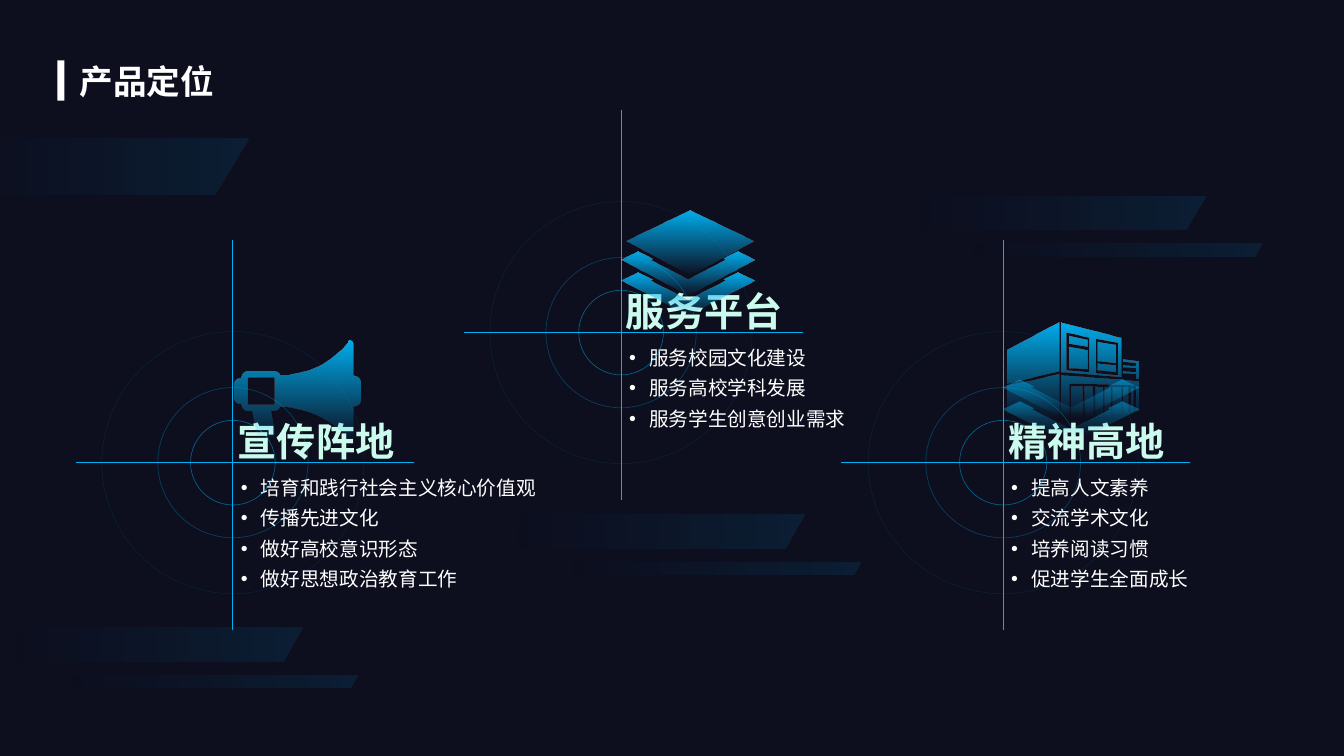
from dataclasses import dataclass

from lxml import etree
from pptx import Presentation
from pptx.dml.color import RGBColor
from pptx.enum.shapes import MSO_CONNECTOR, MSO_SHAPE
from pptx.enum.text import MSO_AUTO_SIZE
from pptx.oxml.ns import qn
from pptx.util import Inches, Pt

RECT = MSO_SHAPE.RECTANGLE
OVAL = MSO_SHAPE.OVAL
SLANT = MSO_SHAPE.PARALLELOGRAM
STRAIGHT = MSO_CONNECTOR.STRAIGHT
FIT_TEXT = MSO_AUTO_SIZE.SHAPE_TO_FIT_TEXT
RIGHTWARD, DOWNWARD = 0, 270


@dataclass(frozen=True)
class Theme:
    font: str = "Noto Sans CJK SC"
    back: str = "0D0E1E"
    white: str = "FFFFFF"
    blue: str = "00B0F0"
    title_size: int = 24
    heading_size: int = 28
    body_size: int = 14
    title_stops: tuple = ((11, "F2F2F2", 100), (29, "FFFFFF", 100), (63, "BFBFBF", 100))
    heading_stops: tuple = ((16, "CAFBED", 100), (100, "5EF0F7", 100))
    icon_stops: tuple = ((0, "00B0F0", 100), (100, "00B0F0", 0))
    faint_stops: tuple = ((0, "00B0F0", 49), (81, "00B0F0", 0))
    bar_stops: tuple = ((0, "009DD9", 0), (100, "00B0F0", 11))


THEME = Theme()

PILLARS = [
    ("宣传阵地", 2.31, 4.59, 1, 3.94,
     ["培育和践行社会主义核心价值观", "传播先进文化", "做好高校意识形态", "做好思想政治教育工作"]),
    ("服务平台", 6.16, 3.3, 1, 3.32,
     ["服务校园文化建设", "服务高校学科发展", "服务学生创意创业需求"]),
    ("精神高地", 9.95, 4.59, 1.03, 3.28,
     ["提高人文素养", "交流学术文化", "培养阅读习惯", "促进学生全面成长"]),
]
RINGS = [(2.6, 10), (1.49, 30), (0.84, 50)]
BAR_PAIRS = [(0, 6.23), (8.96, 1.95), (4.98, 5.11)]

TOP_LAYER = [[(7.47, 2.39), (6.84, 2.72), (6.21, 2.39), (6.84, 2.09)]]
CHEVRON = [(0.49, 0), (0.66, 0.08), (0, 0.42), (-0.66, 0.08), (-0.49, 0),
           (-0.35, 0.07), (-0.37, 0.08), (0, 0.27), (0.37, 0.08), (0.35, 0.07)]
BUILDING = [
    [(11.21, 3.85), (11.23, 3.85), (11.23, 4.08), (11.21, 4.08)],
    [(11.13, 3.84), (11.18, 3.84), (11.18, 4.09), (11.13, 4.09)],
    [(11.03, 3.84), (11.11, 3.84), (11.11, 4.09), (11.03, 4.1)],
    [(10.95, 3.84), (11.01, 3.84), (11.01, 4.1), (10.95, 4.11)],
    [(10.86, 3.83), (10.93, 3.84), (10.93, 4.11), (10.86, 4.12)],
    [(10.75, 3.83), (10.83, 3.83), (10.84, 4.12), (10.76, 4.13)],
    [(10.62, 3.83), (10.73, 3.83), (10.73, 4.13), (10.62, 4.14)],
    [(10.52, 3.72), (11.12, 3.76), (11.29, 3.78), (11.29, 4.07), (11.26, 4.08),
     (11.26, 3.82), (10.6, 3.8), (10.6, 4.15), (10.52, 4.15)],
    [(10.5, 3.71), (10.5, 4.15), (9.99, 4.09), (9.99, 3.82), (10.24, 3.77)],
    [(10.88, 3.6), (11.06, 3.62), (11.06, 3.69), (10.88, 3.67)],
    [(11.13, 3.56), (11.29, 3.58), (11.29, 3.75), (11.26, 3.75), (11.26, 3.71),
     (11.13, 3.7), (11.13, 3.68), (11.26, 3.69), (11.26, 3.65), (11.13, 3.64),
     (11.13, 3.62), (11.26, 3.63), (11.26, 3.6), (11.13, 3.59)],
    [(10.6, 3.44), (10.78, 3.47), (10.78, 3.66), (10.6, 3.65)],
    [(10.88, 3.39), (11.06, 3.42), (11.06, 3.6), (10.88, 3.58)],
    [(10.86, 3.36), (10.86, 3.7), (11.08, 3.72), (11.08, 3.4)],
    [(10.6, 3.33), (10.78, 3.37), (10.78, 3.44), (10.6, 3.41)],
    [(10.57, 3.3), (10.57, 3.67), (10.8, 3.69), (10.8, 3.35)],
    [(10.5, 3.2), (10.5, 3.68), (9.99, 3.8), (9.99, 3.47)],
    [(10.52, 3.2), (11.11, 3.35), (11.11, 3.74), (10.52, 3.69)],
]
MEGAPHONE = [
    [(3.5, 3.72), (3.5, 3.41), (3.5, 3.39, 3.49, 3.38, 3.48, 3.38),
     (3.46, 3.37, 3.45, 3.38, 3.45, 3.4), (3.44, 3.4, 3.41, 3.48, 3.2, 3.61),
     (3.02, 3.71, 2.84, 3.72, 2.78, 3.72), (2.77, 3.7, 2.75, 3.68, 2.72, 3.68),
     (2.47, 3.68), (2.43, 3.68, 2.4, 3.71, 2.4, 3.75), (2.38, 3.75),
     (2.35, 3.75, 2.33, 3.78, 2.33, 3.81), (2.33, 3.94),
     (2.33, 3.97, 2.35, 4, 2.38, 4), (2.4, 4), (2.4, 4.04, 2.43, 4.07, 2.47, 4.07),
     (2.51, 4.07), (2.55, 4.29), (2.55, 4.32, 2.57, 4.34, 2.6, 4.34), (2.68, 4.34),
     (2.69, 4.34, 2.71, 4.33, 2.72, 4.32), (2.73, 4.31, 2.73, 4.29, 2.73, 4.28),
     (2.69, 4.07), (2.72, 4.07), (2.75, 4.07, 2.77, 4.05, 2.78, 4.03),
     (2.84, 4.03, 3.02, 4.04, 3.2, 4.14), (3.41, 4.26, 3.44, 4.35, 3.45, 4.36),
     (3.45, 4.37, 3.46, 4.38, 3.48, 4.38), (3.49, 4.37, 3.5, 4.36, 3.5, 4.35),
     (3.5, 4.03), (3.55, 4.03, 3.58, 3.99, 3.58, 3.95), (3.58, 3.8),
     (3.58, 3.76, 3.55, 3.73, 3.5, 3.72)],
    [(2.73, 4), (2.73, 4.01, 2.72, 4.01, 2.72, 4.01), (2.47, 4.01),
     (2.46, 4.01, 2.46, 4.01, 2.46, 4), (2.46, 3.75),
     (2.46, 3.74, 2.46, 3.74, 2.47, 3.74), (2.72, 3.74),
     (2.72, 3.74, 2.73, 3.74, 2.73, 3.75)],
]


def set_alpha(color, percent):
    etree.SubElement(color, qn("a:alpha"), val=str(percent * 1000))


def set_gradient(fill, parent, stops, angle):
    fill.gradient()
    fill.gradient_angle = angle
    gs_list = parent.find(qn("a:gradFill")).find(qn("a:gsLst"))
    for gs in list(gs_list):
        gs_list.remove(gs)
    for pos, color, alpha in stops:
        gs = etree.SubElement(gs_list, qn("a:gs"), pos=str(pos * 1000))
        set_alpha(etree.SubElement(gs, qn("a:srgbClr"), val=color), alpha)


def add_preset(s, kind, left, top, width, height):
    shape = s.shapes.add_shape(kind, Inches(left), Inches(top), Inches(width), Inches(height))
    shape.shadow.inherit = False
    shape.line.fill.background()
    return shape


def add_bar(s, left, top, height):
    bar = add_preset(s, SLANT, left, top, 3, height)
    bar.adjustments[0] = 0.605
    set_gradient(bar.fill, bar._element.spPr, THEME.bar_stops, RIGHTWARD)


def add_ring(s, cx, cy, width, height, alpha):
    ring = add_preset(s, OVAL, cx - width / 2, cy - height / 2, width, height)
    ring.fill.background()
    ring.line.color.rgb = RGBColor.from_string(THEME.blue)
    ring.line.width = Pt(0.5)
    set_alpha(next(ring._element.spPr.iter(qn("a:srgbClr"))), alpha)


def add_line(s, x1, y1, x2, y2):
    line = s.shapes.add_connector(STRAIGHT, Inches(x1), Inches(y1), Inches(x2), Inches(y2))
    line.line.color.rgb = RGBColor.from_string(THEME.blue)
    line.line.width = Pt(0.75)
    etree.SubElement(line._element.spPr, qn("a:effectLst"))


def add_target(s, cx, cy, stretch):
    for size, alpha in RINGS:
        add_ring(s, cx, cy, size * stretch, size, alpha)
    add_line(s, cx - 1.56 * stretch, cy, cx + 1.8 * stretch, cy)
    add_line(s, cx, cy - 2.21, cx, cy + 1.66)


def flatten(contour, steps=8):
    points = []
    for item in contour:
        if len(item) == 2:
            points.append(item)
            continue
        (x0, y0), (x1, y1, x2, y2, x3, y3) = points[-1], item
        for i in range(1, steps + 1):
            t = i / steps
            u = 1 - t
            a, b, c, d = u ** 3, 3 * u * u * t, 3 * u * t * t, t ** 3
            points.append((a * x0 + b * x1 + c * x2 + d * x3, a * y0 + b * y1 + c * y2 + d * y3))
    return [(Inches(x), Inches(y)) for x, y in points]


def add_icon(s, contours, stops=THEME.icon_stops):
    outlines = [flatten(contour) for contour in contours]
    builder = s.shapes.build_freeform(*outlines[0][0])
    for i, outline in enumerate(outlines):
        if i:
            builder.move_to(*outline[0])
        builder.add_line_segments(outline[1:], close=True)
    icon = builder.convert_to_shape()
    icon.shadow.inherit = False
    icon.line.fill.background()
    set_gradient(icon.fill, icon._element.spPr, stops, DOWNWARD)


def add_chevron(s, cx, top, stretch=1, stops=THEME.icon_stops):
    add_icon(s, [[(cx + x * stretch, top + y) for x, y in CHEVRON]], stops)


def add_text(s, left, top, width, height, lines, size, wrap=False):
    box = s.shapes.add_textbox(Inches(left), Inches(top), Inches(width), Inches(height))
    tf = box.text_frame
    tf.word_wrap = wrap
    tf.auto_size = FIT_TEXT
    tf.text = "\n".join(lines)
    for p in tf.paragraphs:
        r = p.runs[0]
        r.font.size = Pt(size)
        r.font.name = THEME.font
        etree.SubElement(r._r.get_or_add_rPr(), qn("a:ea"), typeface=THEME.font)
    return tf


def add_heading(s, left, top, width, height, text, size, stops):
    tf = add_text(s, left, top, width, height, [text], size)
    r = tf.paragraphs[0].runs[0]
    r.font.bold = True
    set_gradient(r.font.fill, r._r.get_or_add_rPr(), stops, DOWNWARD)
    return tf


def add_bullets(s, left, top, width, lines):
    tf = add_text(s, left, top, width, 0.1 + 0.3 * len(lines), lines, THEME.body_size, True)
    for p in tf.paragraphs:
        pPr = p._p.get_or_add_pPr()
        pPr.set("marL", str(Inches(0.2)))
        pPr.set("indent", str(-Inches(0.2)))
        etree.SubElement(pPr, qn("a:buFont"), typeface="Arial")
        etree.SubElement(pPr, qn("a:buChar"), char="•")
        p.line_spacing = 1.3
        p.runs[0].font.color.rgb = RGBColor.from_string(THEME.white)


def add_slide_title(s, text):
    marker = add_preset(s, RECT, 0.57, 0.6, 0.07, 0.4)
    marker.fill.solid()
    marker.fill.fore_color.rgb = RGBColor.from_string(THEME.white)
    tf = add_heading(s, 0.79, 0.6, 1.35, 0.4, text, THEME.title_size, THEME.title_stops)
    tf.margin_left = tf.margin_top = tf.margin_right = tf.margin_bottom = 0


def main():
    prs = Presentation()
    prs.slide_width, prs.slide_height = Inches(13.33), Inches(7.5)
    s = prs.slides.add_slide(prs.slide_layouts[6])
    s.background.fill.solid()
    s.background.fill.fore_color.rgb = RGBColor.from_string(THEME.back)

    add_slide_title(s, "产品定位")
    add_bar(s, -0.54, 1.37, 0.56)
    for left, top in BAR_PAIRS:
        add_bar(s, left, top, 0.33)
        add_bar(s, left + 0.55, top + 0.47, 0.12)

    for heading, cx, cy, stretch, width, lines in PILLARS:
        add_bullets(s, cx - 0.02, cy + 0.01, width, lines)
        add_target(s, cx, cy, stretch)
        add_heading(s, cx - 0.05, cy - 0.5, 1.77, 0.57, heading,
                    THEME.heading_size, THEME.heading_stops)

    add_icon(s, MEGAPHONE)
    add_icon(s, TOP_LAYER)
    for top in (2.5, 2.7):
        add_chevron(s, 6.82, top)
    add_icon(s, BUILDING)
    for top in (3.77, 3.98):
        add_chevron(s, 10.62, top, 1.03, THEME.faint_stops)
    prs.save("out.pptx")


if __name__ == "__main__":
    main()
